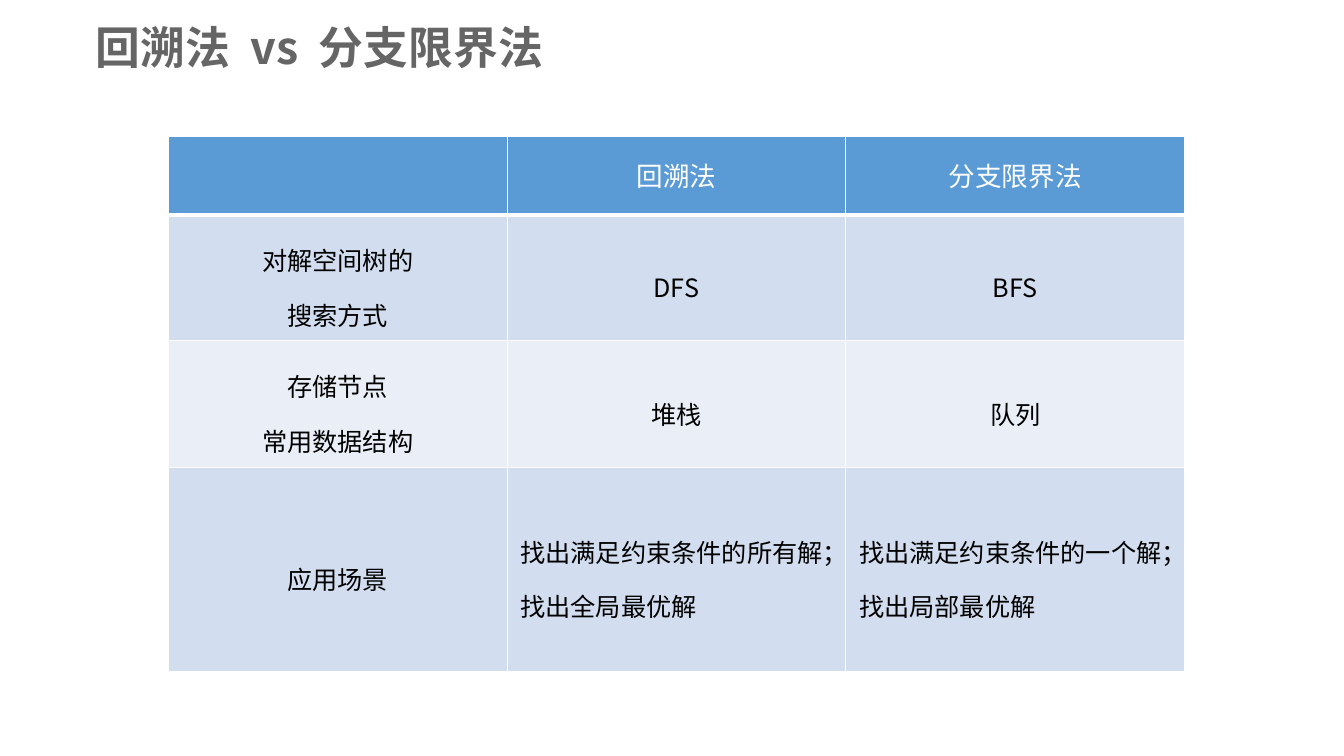
import pptx
import pptx.util
from lxml import etree
from pptx.dml.color import RGBColor
from pptx.enum.text import MSO_ANCHOR, PP_ALIGN
from pptx.oxml.ns import qn
from pptx.util import Inches, Pt

FONT = "Noto Sans CJK SC"
WHITE = RGBColor(0xFF, 0xFF, 0xFF)
BLACK = RGBColor(0, 0, 0)
GRAY = RGBColor(0x65, 0x65, 0x65)
HEADER_BLUE = RGBColor(0x5B, 0x9B, 0xD5)
BANDS = (RGBColor(0xD2, 0xDE, 0xEF), RGBColor(0xEA, 0xEF, 0xF7))

TITLE = "回溯法 vs 分支限界法"
ROWS = [
    ("", "回溯法", "分支限界法"),
    ("对解空间树的\n搜索方式", "DFS", "BFS"),
    ("存储节点\n常用数据结构", "堆栈", "队列"),
    ("应用场景",
     "找出满足约束条件的所有解；\n找出全局最优解",
     "找出满足约束条件的一个解；\n找出局部最优解"),
]
ROW_HEIGHTS = (0.78, 1.25, 1.26, 2.02)
COLUMN_WIDTH = 3.36
TABLE_LEFT, TABLE_TOP = 1.67, 1.35


def write(frame, text, size, color, bold=False, align=PP_ALIGN.LEFT,
          line_spacing=1.0, space_tracking=0):
    """Write one paragraph per line; space_tracking widens word gaps, in points."""
    for index, line in enumerate(text.split("\n")):
        paragraph = frame.paragraphs[0] if index == 0 else frame.add_paragraph()
        paragraph.alignment = align
        paragraph.line_spacing = line_spacing
        pieces = line.replace(" ", "\n \n").split("\n") if space_tracking else [line]
        for piece in pieces:
            run = paragraph.add_run()
            run.text = piece
            run.font.size = Pt(size)
            run.font.bold = bold
            run.font.color.rgb = color
            run.font.name = FONT
            properties = run._r.get_or_add_rPr()
            etree.SubElement(properties, qn("a:ea"), typeface=FONT)
            if piece == " ":
                properties.set("spc", str(round(space_tracking * 100)))


def add_borders(cell, bottom_width):
    properties = cell._tc.get_or_add_tcPr()
    for side, width in (("L", 1), ("R", 1), ("T", 1), ("B", bottom_width)):
        line = etree.SubElement(properties, qn(f"a:ln{side}"), w=str(Pt(width)))
        fill = etree.SubElement(line, qn("a:solidFill"))
        etree.SubElement(fill, qn("a:srgbClr"), val=str(WHITE))


def add_title(slide):
    box = slide.shapes.add_textbox(Inches(0.85), Inches(0.13), Inches(7.44), Inches(0.73))
    frame = box.text_frame
    frame.word_wrap = True
    frame.vertical_anchor = MSO_ANCHOR.MIDDLE
    write(frame, TITLE, size=32, color=GRAY, bold=True, line_spacing=0.9,
          space_tracking=7.2)


def add_comparison(slide):
    column_count = len(ROWS[0])
    table = slide.shapes.add_table(
        len(ROWS), column_count, Inches(TABLE_LEFT), Inches(TABLE_TOP),
        Inches(COLUMN_WIDTH * column_count), Inches(sum(ROW_HEIGHTS))).table
    table.first_row = False
    table.horz_banding = False
    for column in table.columns:
        column.width = Inches(COLUMN_WIDTH)
    for row_index, texts in enumerate(ROWS):
        table.rows[row_index].height = Inches(ROW_HEIGHTS[row_index])
        header = row_index == 0
        for column_index, text in enumerate(texts):
            cell = table.cell(row_index, column_index)
            add_borders(cell, bottom_width=3 if header else 1)
            cell.fill.solid()
            cell.fill.fore_color.rgb = HEADER_BLUE if header else BANDS[(row_index - 1) % 2]
            cell.vertical_anchor = MSO_ANCHOR.MIDDLE
            cell.margin_left = cell.margin_right = Inches(0.13)
            cell.margin_top = cell.margin_bottom = Inches(0.05)
            if not text:
                continue
            scenario = row_index == len(ROWS) - 1 and column_index > 0
            write(cell.text_frame, text, size=19 if header else 18,
                  color=WHITE if header else BLACK,
                  align=PP_ALIGN.LEFT if scenario else PP_ALIGN.CENTER,
                  line_spacing=1.0 if header else 1.5)


def main():
    presentation = pptx.Presentation()
    presentation.slide_width = Inches(13.33)
    presentation.slide_height = Inches(7.5)
    slide = presentation.slides.add_slide(presentation.slide_layouts[6])
    add_comparison(slide)
    add_title(slide)
    presentation.save("out.pptx")


if __name__ == "__main__":
    main()
